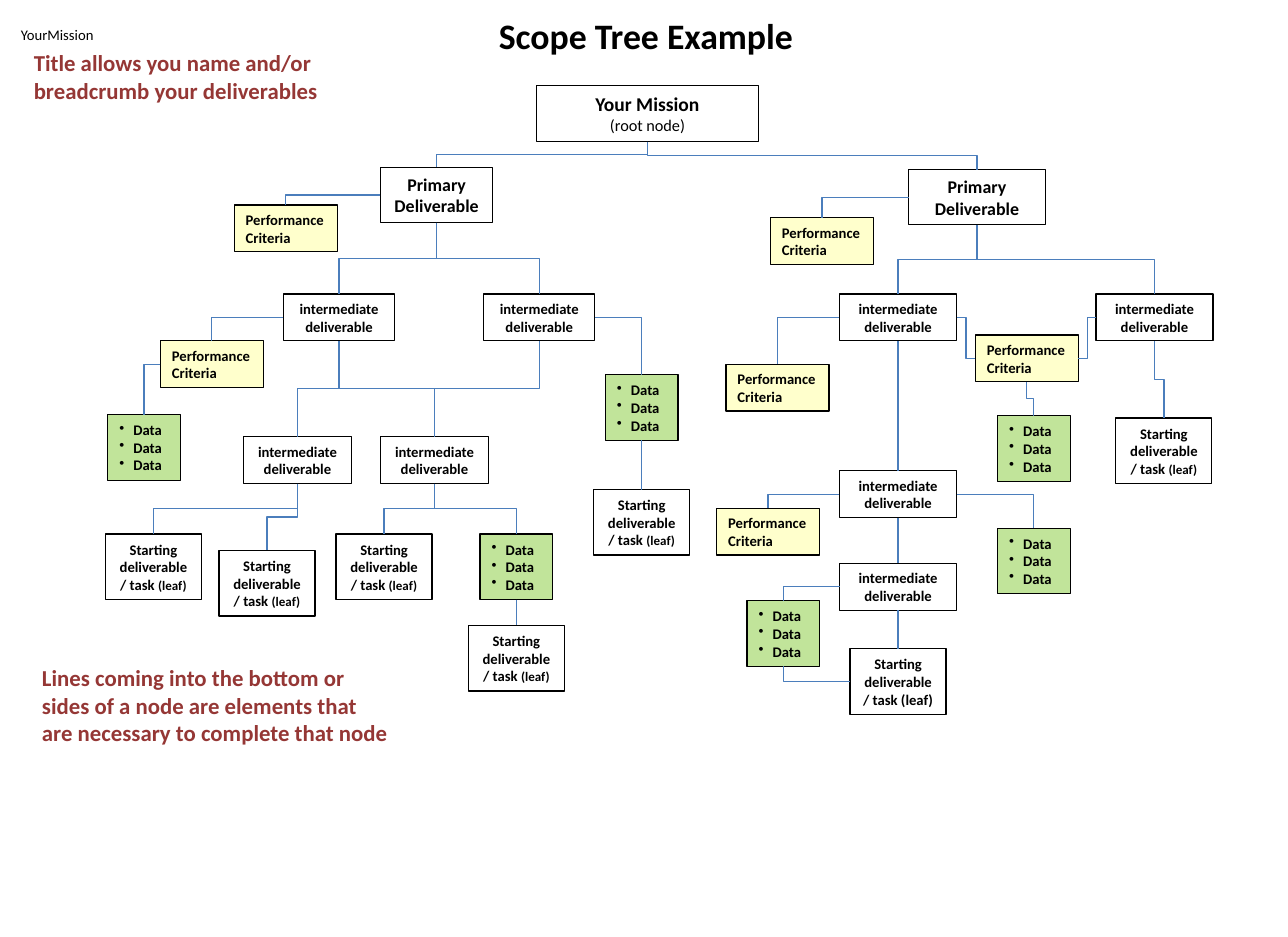
from lxml import etree
from pptx import Presentation
from pptx import util as u
from pptx.dml import color
from pptx.enum import shapes, text
from pptx.oxml import ns

FONT = "Calibri"
COLORS = {"black": "000000", "data": "C1E49A", "criteria": "FFFFCC",
          "link": "4B7EBC", "note": "953735"}
TOP, LEFT, BOTTOM, RIGHT = range(4)  # connection sites of a rectangle

# kind: (height, fill, alignment, paragraphs); a paragraph is a list of (text, size, bold)
CENTER, START, END = text.PP_ALIGN.CENTER, text.PP_ALIGN.LEFT, text.PP_ALIGN.RIGHT
LEAF = "Starting deliverable / task "
KINDS = {
    "mission": (0.48, None, CENTER, [[("Your Mission", 12, True)], [("(root node)", 10, False)]]),
    "primary": (0.47, None, CENTER, [[("Primary Deliverable", 11, True)]]),
    "intermediate": (0.4, None, CENTER, [[("intermediate deliverable", 9, True)]]),
    "criteria": (0.4, "criteria", START, [[("Performance Criteria", 9, True)]]),
    "data": (0.56, "data", START, [[("Data", 9, True)]] * 3),
    "leaf": (0.56, None, CENTER, [[(LEAF, 9, True), ("(leaf)", 8, True)]]),
    "last leaf": (0.56, None, CENTER, [[(LEAF + "(leaf)", 9, True)]]),
}

# name: (kind, left, top, width)
NODES = {
    "mission": ("mission", 4.58, 0.73, 1.9),
    # Left branch
    "primary A": ("primary", 3.25, 1.43, 0.96),
    "criteria A": ("criteria", 2, 1.75, 0.88),
    "A1": ("intermediate", 2.42, 2.51, 0.95),
    "A2": ("intermediate", 4.13, 2.51, 0.95),
    "A1 criteria": ("criteria", 1.37, 2.91, 0.88),
    "A1 data": ("data", 0.92, 3.54, 0.62),
    "A2 data": ("data", 5.17, 3.2, 0.62),
    "A2 leaf": ("leaf", 5.07, 4.18, 0.82),
    "A3": ("intermediate", 2.08, 3.73, 0.92),
    "A4": ("intermediate", 3.25, 3.73, 0.92),
    "A3 leaf 1": ("leaf", 0.9, 4.56, 0.82),
    "A3 leaf 2": ("leaf", 1.87, 4.7, 0.82),
    "A4 leaf": ("leaf", 2.87, 4.56, 0.82),
    "A4 data": ("data", 4.1, 4.56, 0.62),
    "A4 data leaf": ("leaf", 4, 5.34, 0.82),
    # Right branch
    "primary B": ("primary", 7.76, 1.45, 1.17),
    "criteria B": ("criteria", 6.58, 1.86, 0.88),
    "B1": ("intermediate", 7.17, 2.51, 1),
    "B2": ("intermediate", 9.36, 2.51, 1),
    "B1 criteria": ("criteria", 6.2, 3.11, 0.88),
    "shared criteria": ("criteria", 8.33, 2.86, 0.88),
    "shared data": ("data", 8.52, 3.55, 0.62),
    "B2 leaf": ("leaf", 9.53, 3.57, 0.82),
    "B3": ("intermediate", 7.17, 4.02, 1),
    "B3 criteria": ("criteria", 6.12, 4.34, 0.88),
    "B3 data": ("data", 8.52, 4.51, 0.62),
    "B4": ("intermediate", 7.17, 4.81, 1),
    "B4 data": ("data", 6.38, 5.13, 0.62),
    "B4 leaf": ("last leaf", 7.26, 5.54, 0.82),
}

# (from side, to side): pairs of nodes
LINKS = {
    (BOTTOM, TOP): [
        ("mission", "primary A"), ("mission", "primary B"),
        ("primary A", "A1"), ("primary A", "A2"), ("A1", "A3"), ("A1", "A4"),
        ("A2", "A4"), ("A2 data", "A2 leaf"), ("A3", "A3 leaf 1"),
        ("A3", "A3 leaf 2"), ("A4", "A4 leaf"), ("A4", "A4 data"),
        ("A4 data", "A4 data leaf"), ("primary B", "B1"), ("primary B", "B2"),
        ("shared criteria", "shared data"), ("B2", "B2 leaf"), ("B1", "B3"),
        ("B3", "B4"), ("B4", "B4 leaf")],
    (LEFT, TOP): [
        ("primary A", "criteria A"), ("A1", "A1 criteria"), ("A1 criteria", "A1 data"),
        ("primary B", "criteria B"), ("B1", "B1 criteria"), ("B3", "B3 criteria"),
        ("B4", "B4 data")],
    (RIGHT, TOP): [("A2", "A2 data"), ("B3", "B3 data")],
    (RIGHT, LEFT): [("B1", "shared criteria"), ("shared criteria", "B2")],
    (LEFT, BOTTOM): [("B4 leaf", "B4 data")],
}

# (text, left, top, width, height, size, bold, colour, alignment, wraps)
LABELS = [
    ("YourMission", 0.08, 0.17, 0.84, 0.25, 9, False, "black", START, False),
    ("Scope Tree Example", 4.08, 0.07, 2.79, 0.47, 22, True, "black", END, True),
    ("Title allows you name and/or breadcrumb your deliverables",
     0.19, 0.37, 3.18, 0.57, 14, True, "note", START, True),
    ("Lines coming into the bottom or sides of a node are elements that "
     "are necessary to complete that node",
     0.26, 5.62, 3.18, 0.81, 14, True, "note", START, True),
]


def rgb(name):
    return color.RGBColor.from_string(COLORS[name])


def style_font(font, size, bold, color_name):
    font.name, font.size, font.bold = FONT, u.Pt(size), bold
    font.color.rgb = rgb(color_name)


def add_bullet(paragraph):
    properties = paragraph._p.get_or_add_pPr()
    properties.set("marL", str(u.Inches(0.12)))
    properties.set("indent", str(-u.Inches(0.12)))
    etree.SubElement(properties, ns.qn("a:buChar")).set("char", "•")


def add_node(slide, kind, left, top, width):
    height, fill, alignment, paragraphs = KINDS[kind]
    shape = slide.shapes.add_shape(shapes.MSO_SHAPE.RECTANGLE, u.Inches(left),
                                   u.Inches(top), u.Inches(width), u.Inches(height))
    shape.shadow.inherit = False
    shape.line.color.rgb = rgb("black")
    shape.line.width = u.Pt(0.75)
    if fill:
        shape.fill.solid()
        shape.fill.fore_color.rgb = rgb(fill)
    else:
        shape.fill.background()
    frame = shape.text_frame
    frame.word_wrap = True
    frame.auto_size = text.MSO_AUTO_SIZE.SHAPE_TO_FIT_TEXT
    for index, runs in enumerate(paragraphs):
        paragraph = frame.add_paragraph() if index else frame.paragraphs[0]
        paragraph.alignment = alignment
        style_font(paragraph.font, runs[0][1], runs[0][2], "black")
        for words, size, _ in runs:
            run = paragraph.add_run()
            run.text = words
            if size != runs[0][1]:
                run.font.size = u.Pt(size)
        if kind == "data":
            add_bullet(paragraph)
    return shape


def site_point(shape, site):
    across = {LEFT: 0, RIGHT: shape.width}.get(site, shape.width // 2)
    down = {TOP: 0, BOTTOM: shape.height}.get(site, shape.height // 2)
    return shape.left + across, shape.top + down


def add_link(slide, source, source_site, target, target_site):
    x1, y1 = site_point(source, source_site)
    x2, y2 = site_point(target, target_site)
    connector = slide.shapes.add_connector(shapes.MSO_CONNECTOR.ELBOW, x1, y1, x2, y2)
    connector.begin_connect(source, source_site)
    connector.end_connect(target, target_site)
    connector.line.color.rgb = rgb("link")
    connector.line.width = u.Pt(0.75)
    properties = connector._element.spPr
    etree.SubElement(properties, ns.qn("a:effectLst"))
    if (source_site, target_site) == (BOTTOM, TOP):
        # A downward elbow is a sideways one turned by a quarter
        run, rise = y2 - y1, abs(x2 - x1)
        connector.left, connector.top = (x1 + x2 - run) // 2, (y1 + y2 - rise) // 2
        connector.width, connector.height = run, rise
        frame = properties.find(ns.qn("a:xfrm"))
        frame.set("rot", str((270 if x2 > x1 else 90) * 60000))
        frame.set("flipH", "1" if x2 > x1 else "0")
    elif target_site in (TOP, BOTTOM):
        properties.find(ns.qn("a:prstGeom")).set("prst", "bentConnector2")


def add_label(slide, words, left, top, width, height, size, bold, color_name, alignment, wraps):
    box = slide.shapes.add_textbox(u.Inches(left), u.Inches(top),
                                   u.Inches(width), u.Inches(height))
    box.text_frame.word_wrap = wraps
    box.text_frame.auto_size = text.MSO_AUTO_SIZE.SHAPE_TO_FIT_TEXT
    paragraph = box.text_frame.paragraphs[0]
    paragraph.text = words
    paragraph.alignment = alignment
    style_font(paragraph.font, size, bold, color_name)


def main():
    presentation = Presentation()
    presentation.slide_width, presentation.slide_height = u.Inches(11), u.Inches(8)
    slide = presentation.slides.add_slide(presentation.slide_layouts[6])

    # Tree nodes
    nodes = {name: add_node(slide, *node) for name, node in NODES.items()}

    # Elbow lines between nodes
    for (source_site, target_site), pairs in LINKS.items():
        for source, target in pairs:
            add_link(slide, nodes[source], source_site, nodes[target], target_site)

    # Title and notes
    for label in LABELS:
        add_label(slide, *label)

    presentation.save("out.pptx")


if __name__ == "__main__":
    main()
